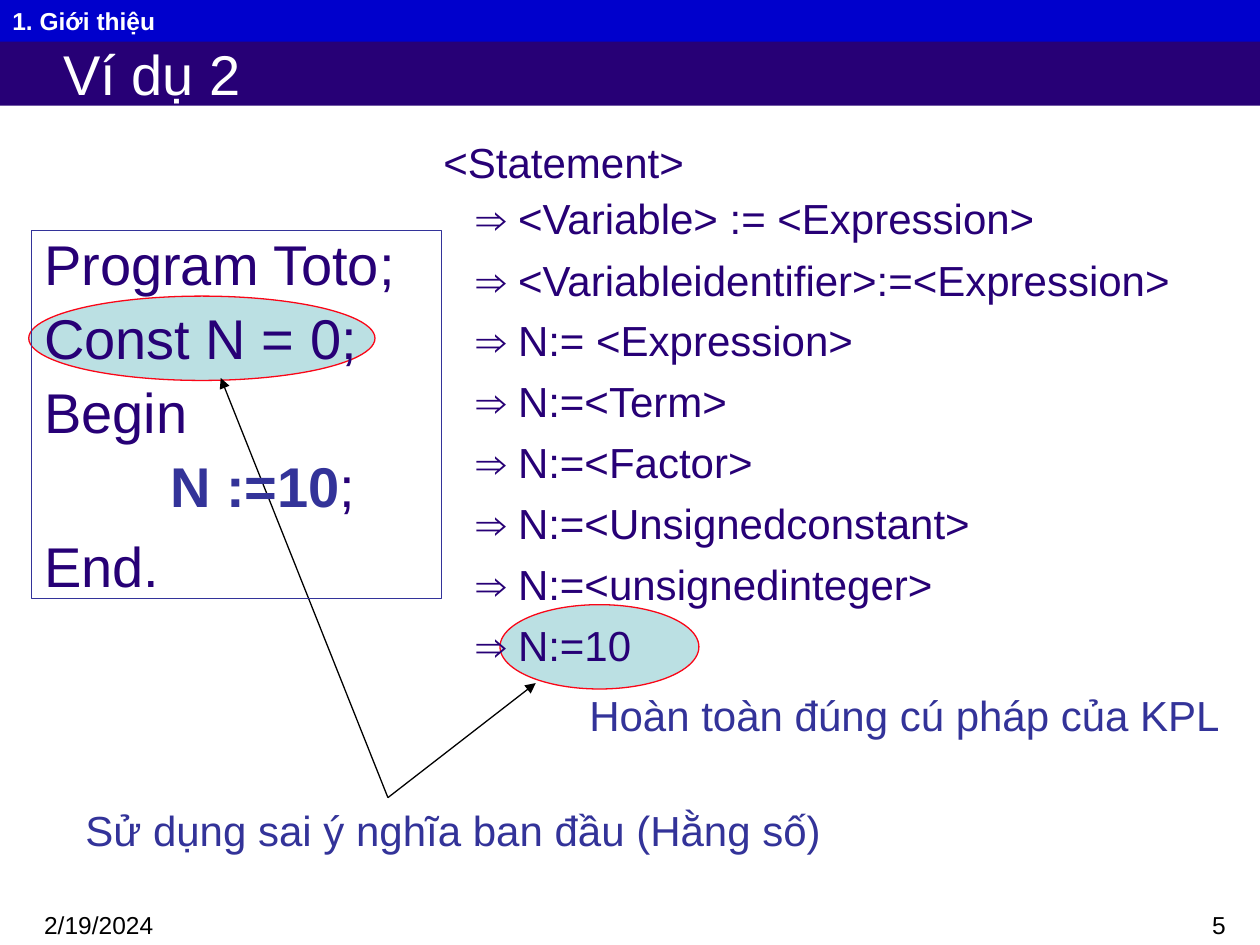
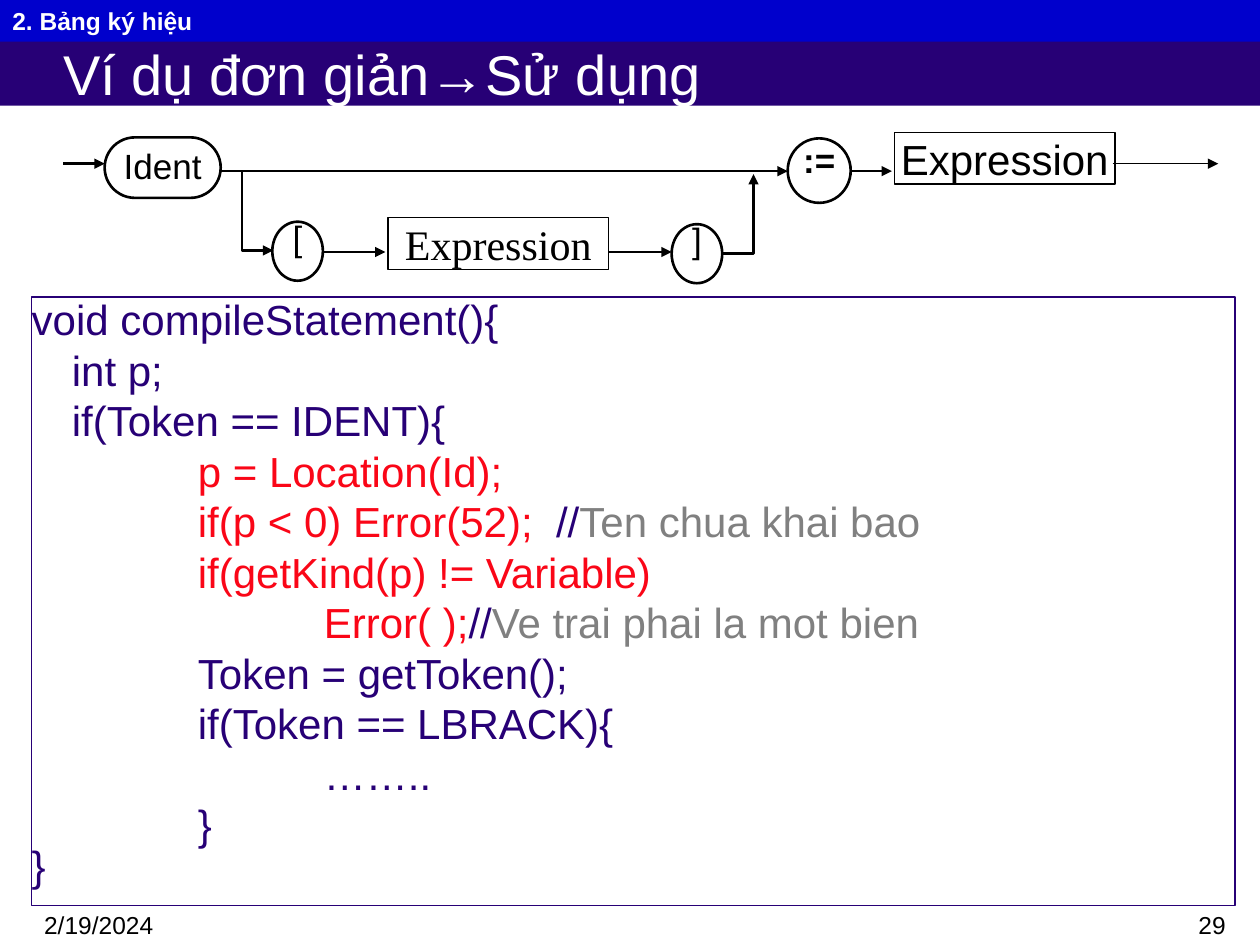
import pptx
import pptx.util
import pptx.dml.color
import pptx.enum.shapes
import pptx.enum.text
import pptx.oxml
import pptx.oxml.ns

Cm = pptx.util.Cm
Pt = pptx.util.Pt
SHAPE = pptx.enum.shapes.MSO_SHAPE
ALIGN = pptx.enum.text.PP_ALIGN
ANCHOR = pptx.enum.text.MSO_ANCHOR

COLORS = {
    "ink": "270076",
    "band": "0000CC",
    "note": "333399",
    "oval": "BBE0E3",
    "red": "FA0617",
    "gray": "808080",
    "black": "000000",
    "white": "FFFFFF",
}
DATE = "2/19/2024"
INSET = (0.25, 0.13, 0.25, 0.13)


def rgb(name):
    return pptx.dml.color.RGBColor.from_string(COLORS[name])


class Deck:
    def __init__(self):
        self.prs = pptx.Presentation()
        self.prs.slide_width, self.prs.slide_height = Cm(25.4), Cm(19.05)
        self.slide = None

    def new_slide(self, section, heading, number):
        self.slide = self.prs.slides.add_slide(self.prs.slide_layouts[5])
        title = self.slide.shapes.title
        title.left, title.top, title.width, title.height = map(Cm, (0, 0.81, 25.4, 1.32))
        title.fill.solid()
        title.fill.fore_color.rgb = rgb("ink")
        self.frame(title, (1.27, 0, 0.25, 0), ANCHOR.MIDDLE)
        self.fill_text(title.text_frame.paragraphs[0], heading, 32, "white")
        band = self.shape(SHAPE.RECTANGLE, (0, 0, 25.4, 0.84), fill="band")
        self.frame(band)
        self.fill_text(band.text_frame.paragraphs[0], section, 14, "white", bold=True)
        self.label(DATE, (0.64, 18.21, 4.88, 0.84), 14, "black")
        self.label(number, (19.68, 18.21, 5.28, 0.61), 14, "black", align=ALIGN.RIGHT)

    def frame(self, shape, inset=INSET, anchor=ANCHOR.TOP):
        frame = shape.text_frame
        frame.word_wrap = True
        frame.auto_size = pptx.enum.text.MSO_AUTO_SIZE.NONE
        frame.vertical_anchor = anchor
        frame.margin_left, frame.margin_top, frame.margin_right, frame.margin_bottom = map(Cm, inset)
        return frame

    def style(self, run, size, color, bold=False, font="Arial"):
        run.font.name = font
        run.font.size = Pt(size)
        run.font.bold = bold
        run.font.color.rgb = rgb(color)

    def fill_text(self, paragraph, text, size, color, bold=False, font="Arial", align=ALIGN.LEFT):
        paragraph.text = text
        paragraph.alignment = align
        for run in paragraph.runs:
            self.style(run, size, color, bold, font)

    def label(self, text, box, size, color, inset=INSET, **look):
        frame = self.frame(self.slide.shapes.add_textbox(*map(Cm, box)), inset)
        self.fill_text(frame.paragraphs[0], text, size, color, **look)

    def lines(self, box, rows, size, before, inset=INSET, outline=None):
        holder = self.slide.shapes.add_textbox(*map(Cm, box))
        if outline:
            holder.line.color.rgb = rgb(outline)
            holder.line.width = Pt(0.75)
        frame = self.frame(holder, inset)
        for index, (parts, left, hang, spacing) in enumerate(rows):
            paragraph = frame.paragraphs[0] if index == 0 else frame.add_paragraph()
            properties = paragraph._p.get_or_add_pPr()
            properties.set("marL", str(Cm(left)))
            properties.set("indent", str(Cm(hang)))
            paragraph.line_spacing = spacing
            paragraph.space_before = Pt(before if index else 0)
            for text, color, *extra in parts:
                run = paragraph.add_run()
                run.text = text
                self.style(run, size, color, *extra)
        return frame

    def shape(self, kind, box, fill=None, line=None, width=0.75):
        shape = self.slide.shapes.add_shape(kind, *map(Cm, box))
        self.paint(shape, fill, line, width)
        return shape

    def paint(self, shape, fill, line, width):
        shape.shadow.inherit = False
        if fill:
            shape.fill.solid()
            shape.fill.fore_color.rgb = rgb(fill)
        else:
            shape.fill.background()
        if line:
            shape.line.color.rgb = rgb(line)
            shape.line.width = Pt(width)
        else:
            shape.line.fill.background()

    def node(self, kind, text, box, width, size, font="Arial", bottom=0):
        node = self.shape(kind, box, line="black", width=width)
        frame = self.frame(node, (0, 0, 0, bottom), ANCHOR.MIDDLE)
        self.fill_text(frame.paragraphs[0], text, size, "black", font=font, align=ALIGN.CENTER)
        return node

    def symbol(self, text, box, rise, bold=False):
        self.shape(SHAPE.OVAL, box, line="black", width=1.5)
        left, top, width, height = box
        self.label(text, (left, top - rise, width, height), 20, "black",
                   inset=(0, 0.03, 0, 0), bold=bold, align=ALIGN.CENTER)

    def add_head(self, shape):
        outline = shape.element.spPr.find(pptx.oxml.ns.qn("a:ln"))
        outline.append(pptx.oxml.parse_xml(
            f'<a:tailEnd {pptx.oxml.ns.nsdecls("a")} type="triangle"/>'))

    def arrow(self, start, end, width=1.5):
        arrow = self.slide.shapes.add_connector(
            pptx.enum.shapes.MSO_CONNECTOR.STRAIGHT, *map(Cm, start + end))
        arrow.line.color.rgb = rgb("black")
        arrow.line.width = Pt(width)
        self.add_head(arrow)
        arrow.element.spPr.append(pptx.oxml.parse_xml(
            f'<a:effectLst {pptx.oxml.ns.nsdecls("a")}/>'))

    def bent_arrow(self, *points):
        corners = [(Cm(x), Cm(y)) for x, y in points]
        builder = self.slide.shapes.build_freeform(*corners[0])
        builder.add_line_segments(corners[1:], close=False)
        branch = builder.convert_to_shape()
        self.paint(branch, None, "black", 1.5)
        self.add_head(branch)


def syntax_example(deck):
    deck.new_slide("1. Giới thiệu", "Ví dụ 2", "5")
    for box in ((0.58, 5.97, 6.98, 1.7), (10.08, 12.19, 4.01, 1.7)):
        deck.shape(SHAPE.OVAL, box, fill="oval", line="red")
    for target in ((4.45, 7.62), (10.8, 13.77)):
        deck.arrow((7.82, 16.08), target, 0.75)
    deck.label("Sử dụng sai ý nghĩa ban đầu (Hằng số)", (1.47, 16.08, 15.88, 1.27), 24, "note")
    deck.label("Hoàn toàn đúng cú pháp của KPL", (11.63, 13.77, 13.34, 1.27), 24, "note")

    program = [([(text, "ink")], 0, 0, 0.9)
               for text in ("Program Toto;", "Const N = 0;", "Begin")]
    program.append(([("N :=10", "note", True), (";", "ink")], 2.54, 0, 0.9))
    program.append(([("End.", "ink"), (" ", "ink")], 0, 0, 0.9))
    code = deck.lines((0.64, 4.65, 8.26, 7.42), program, 32, 7.7, outline="note")
    code.paragraphs[-1].runs[-1].font.size = Pt(36)

    derivation = [([("<Statement>", "ink")], 0, 0, 0.9)]
    steps = ("<Variable> := <Expression>", "<Variableidentifier>:=<Expression>",
             "N:= <Expression>", "N:=<Term>", "N:=<Factor>", "N:=<Unsignedconstant>",
             "N:=<unsignedinteger>", "N:=10")
    for index, step in enumerate(steps):
        derivation.append(([("⇒ " + step, "ink")], 1.9, -1.24, 1.0 if index else 0.9))
    deck.lines((8.69, 2.74, 15.44, 10.8), derivation, 24, 6)


def usage_example(deck):
    deck.new_slide("2. Bảng ký hiệu", "Ví dụ đơn giản→Sử dụng", "29")
    source = [
        (0, [("void compileStatement(){", "ink")]),
        (1, [("int p;", "ink")]),
        (1, [("if(Token == IDENT){", "ink")]),
        (2, [("p = Location(Id);", "red")]),
        (2, [("if(p < 0) Error(52);", "red"), ("  //", "ink"), ("Ten chua khai bao", "gray")]),
        (2, [("if(getKind(p) != Variable)", "red")]),
        (3, [("Error( );", "red"), ("//", "ink"), ("Ve trai phai la mot bien", "gray")]),
        (2, [("Token = getToken();", "ink")]),
        (2, [("if(Token == LBRACK){", "ink")]),
        (3, [("……..", "ink")]),
        (2, [("}", "ink")]),
        (0, [("}", "ink")]),
    ]
    rows = [(parts, 0.81 + 2.54 * (depth - 1) if depth else 0, 0, 0.8)
            for depth, parts in source]
    code = deck.lines((0.64, 5.99, 24.26, 12.27), rows, 24, 5.8,
                      inset=(0, 0.13, 0, 0.13), outline="ink")
    code.paragraphs[-1].space_before = Pt(0)

    ident = deck.node(SHAPE.ROUNDED_RECTANGLE, "Ident", (2.11, 2.77, 2.34, 1.22), 1.5, 20, bottom=0.1)
    ident.adjustments[0] = 0.5
    deck.node(SHAPE.RECTANGLE, "Expression", (7.82, 4.39, 4.45, 1.04), 0.75, 24, "Times New Roman")
    deck.node(SHAPE.RECTANGLE, "Expression", (18.03, 2.67, 4.45, 1.04), 0.75, 24)
    deck.symbol(":=", (15.88, 2.79, 1.27, 1.3), 0.03, bold=True)
    deck.symbol("[", (5.49, 4.47, 1.02, 1.19), 0.14)
    deck.symbol("]", (13.54, 4.52, 1.02, 1.19), 0.14)

    for y, start, end in ((5.08, 6.5, 7.77), (5.08, 12.27, 13.54), (3.45, 4.45, 15.88),
                          (3.45, 17.15, 17.98), (3.3, 1.27, 2.11)):
        deck.arrow((start, y), (end, y))
    deck.arrow((22.43, 3.3), (24.56, 3.3), 0.75)
    deck.bent_arrow((4.88, 3.45), (4.88, 5.05), (5.51, 5.05))
    deck.bent_arrow((14.55, 5.11), (15.19, 5.11), (15.19, 3.51))


def main():
    deck = Deck()
    syntax_example(deck)
    usage_example(deck)
    deck.prs.save("out.pptx")


if __name__ == "__main__":
    main()
